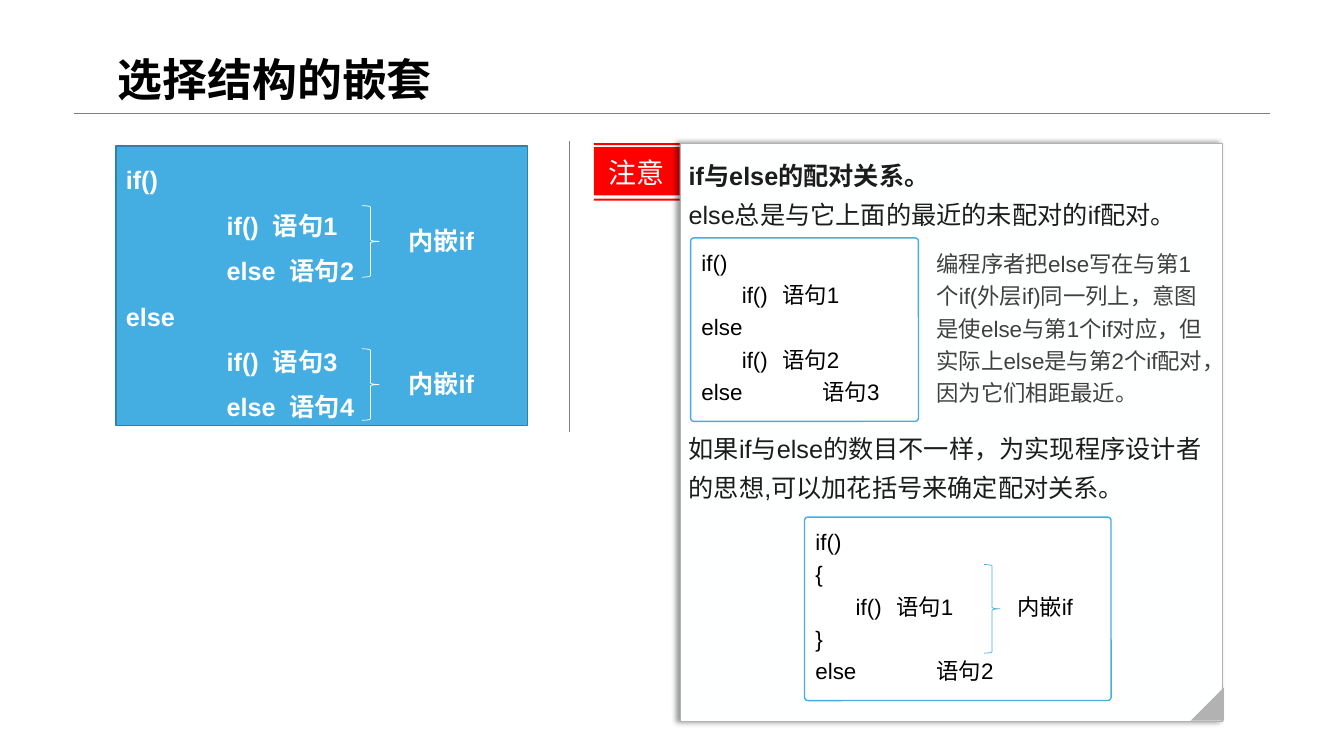
from lxml import etree
from pptx import Presentation
from pptx.dml.color import RGBColor
from pptx.enum.shapes import MSO_CONNECTOR, MSO_SHAPE
from pptx.enum.text import MSO_ANCHOR, PP_ALIGN
from pptx.oxml.ns import qn
from pptx.util import Inches, Pt

RECT, ROUND = MSO_SHAPE.RECTANGLE, MSO_SHAPE.ROUNDED_RECTANGLE
BRACE, FOLD = MSO_SHAPE.RIGHT_BRACE, MSO_SHAPE.RIGHT_TRIANGLE
LINE = MSO_CONNECTOR.STRAIGHT
TOP, MID, LOW = MSO_ANCHOR.TOP, MSO_ANCHOR.MIDDLE, MSO_ANCHOR.BOTTOM
LEFT, MIDDLE = PP_ALIGN.LEFT, PP_ALIGN.CENTER
HAN = "Noto Sans CJK SC"
HEX = {"blue": "44ADE1", "edge": "3280A6", "white": "FFFFFF", "paper": "FEFFFF",
       "red": "FF0000", "gray": "B2B2B2", "rule": "808080", "black": "000000",
       "ink": "1C1C1C", "soft": "404040"}
COLOR = {name: RGBColor.from_string(code) for name, code in HEX.items()}

deck = Presentation()
deck.slide_width, deck.slide_height = Inches(13.33), Inches(7.5)
slide = deck.slides.add_slide(deck.slide_layouts[5])
shapes = slide.shapes


def write(shape, lines, size, color, space=1.0, bold=False, face="Arial",
          anchor=TOP, align=LEFT, tab=None):
    frame = shape.text_frame
    frame.word_wrap, frame.vertical_anchor = True, anchor
    for i, text in enumerate(lines):
        par = frame.paragraphs[0] if i == 0 else frame.add_paragraph()
        par.alignment, par.line_spacing = align, space
        if tab:
            stops = etree.SubElement(par._p.get_or_add_pPr(), qn("a:tabLst"))
            for n in range(1, 7):
                etree.SubElement(stops, qn("a:tab"), pos=str(Inches(tab * n)), algn="l")
        run = par.add_run()
        run.text = text
        font = {"name": face, "size": Pt(size), "bold": bold}
        for key, value in font.items():
            setattr(run.font, key, value)
        run.font.color.rgb = COLOR[color]
        east = etree.SubElement(run._r.get_or_add_rPr(), qn("a:ea"))
        east.set("typeface", HAN)


def draw(kind, box, fill=None, line=None, width=1):
    shape = shapes.add_shape(kind, *map(Inches, box))
    shape.shadow.inherit = False
    if fill:
        shape.fill.solid()
        shape.fill.fore_color.rgb = COLOR[fill]
    else:
        shape.fill.background()
    if line:
        shape.line.color.rgb = COLOR[line]
        shape.line.width = Pt(width)
    else:
        shape.line.fill.background()
    return shape


# Title
title = shapes.title
place = {"left": 1.07, "top": 0.37, "width": 6.48, "height": 0.73}
for key, value in place.items():
    setattr(title, key, Inches(value))
write(title, ["选择结构的嵌套"], 32, "black", 0.9, True, HAN, LOW)

# Rules under the title and between the columns
for x1, y1, x2, y2, width in [(0.73, 1.12, 12.6, 1.12, 0.25),
                              (5.65, 1.4, 5.65, 4.29, 0.5)]:
    rule = shapes.add_connector(LINE, *map(Inches, (x1, y1, x2, y2)))
    rule.line.color.rgb, rule.line.width = COLOR["rule"], Pt(width)
    etree.SubElement(rule._element.spPr, qn("a:effectLst"))

# Nested form on the left
code = draw(RECT, (1.15, 1.45, 4.08, 2.77), "blue", "edge")
write(code, ["if()", "\tif()  语句1", "\telse  语句2",
             "else", "\tif()  语句3", "\telse  语句4"],
      18, "white", 1.5, True, anchor=MID, tab=1)
for top in (2.04, 3.46):
    draw(BRACE, (3.59, top, 0.17, 0.71), line="white", width=0.5)
    label = shapes.add_textbox(*map(Inches, (3.95, top + 0.15, 1.11, 0.4)))
    write(label, ["内嵌if"], 18, "white", bold=True)

# Red tag made of three bars
x1, x2 = Inches(5.89), Inches(6.74)
bars = [(1.42, 1.44), (1.46, 1.94), (1.97, 1.99)]
pen = shapes.build_freeform(x1, Inches(bars[0][0]))
for top, low in bars:
    y1, y2 = Inches(top), Inches(low)
    pen.move_to(x1, y1)
    pen.add_line_segments([(x2, y1), (x2, y2), (x1, y2)], close=True)
tag = pen.convert_to_shape()
tag.shadow.inherit = False
tag.fill.solid()
tag.fill.fore_color.rgb = COLOR["red"]
tag.line.fill.background()
write(tag, ["注意"], 20, "paper", anchor=MID, align=MIDDLE)

# Note sheet with its shadow and folded corner
note = draw(RECT, (6.75, 1.42, 5.38, 5.74), "paper", "gray", 0.75)
cast = etree.SubElement(note._element.spPr.find(qn("a:effectLst")), qn("a:outerShdw"),
                        blurRad=str(Pt(4)), dist=str(Pt(3)), dir="10800000",
                        algn="r", rotWithShape="0")
shade = etree.SubElement(cast, qn("a:srgbClr"), val=HEX["black"])
etree.SubElement(shade, qn("a:alpha"), val="40000")
for side in ("left", "right", "top", "bottom"):
    setattr(note.text_frame, "margin_" + side, Inches(0.08))
write(note, ["if与else的配对关系。",
             "else总是与它上面的最近的未配对的if配对。",
             "如果if与else的数目不一样，为实现程序设计者的思想,可以加花括号来确定配对关系。"],
      18, "ink", 1.3)
head, _, last = note.text_frame.paragraphs
head.runs[0].font.bold = True
last.space_before = Pt(139)
fold = draw(FOLD, (11.81, 6.82, 0.33, 0.33), "gray")
fold.rotation = 270

# Code samples on the note
samples = [
    ((6.85, 2.36, 2.26, 1.82),
     ["if()", "\tif()\t语句1", "else", "\tif()\t语句2", "else\t\t语句3"]),
    ((7.98, 5.13, 3.04, 1.82),
     ["if()", "{", "\tif()\t语句1\t\t内嵌if", "}", "else\t\t语句2"]),
]
for box, lines in samples:
    card = draw(ROUND, box, "white", "blue")
    card.adjustments[0] = 0.018
    write(card, lines, 16, "black", 1.2, tab=0.4)
draw(BRACE, (9.76, 5.6, 0.16, 0.88), line="blue", width=0.5)

# Remark beside the first sample
remark = shapes.add_textbox(*map(Inches, (9.19, 2.38, 2.86, 1.72)))
write(remark, ["编程序者把else写在与第1个if(外层if)同一列上，意图是使else与第1个if对应，"
               "但实际上else是与第2个if配对，因为它们相距最近。"], 16, "soft", 1.2)

deck.save("out.pptx")
